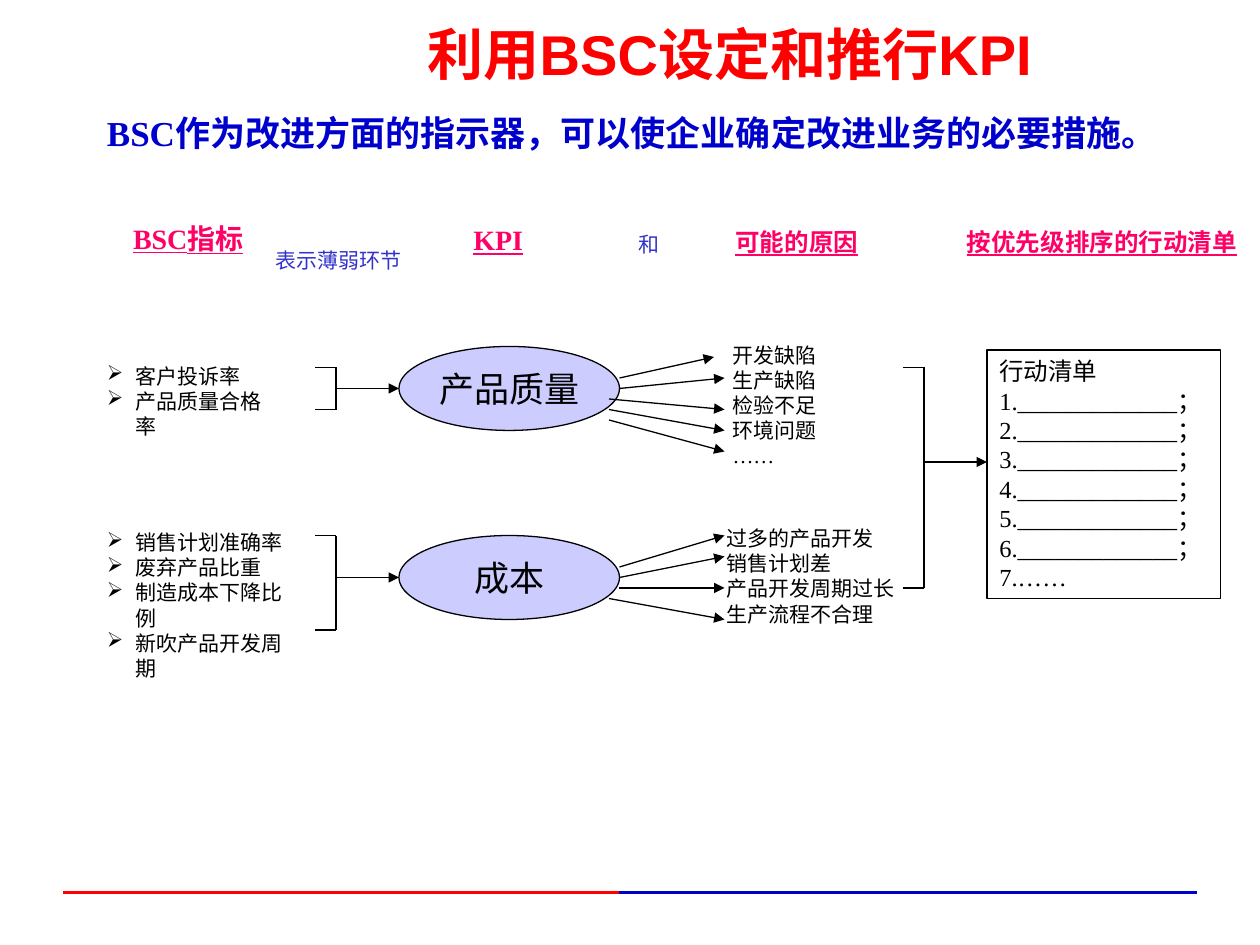
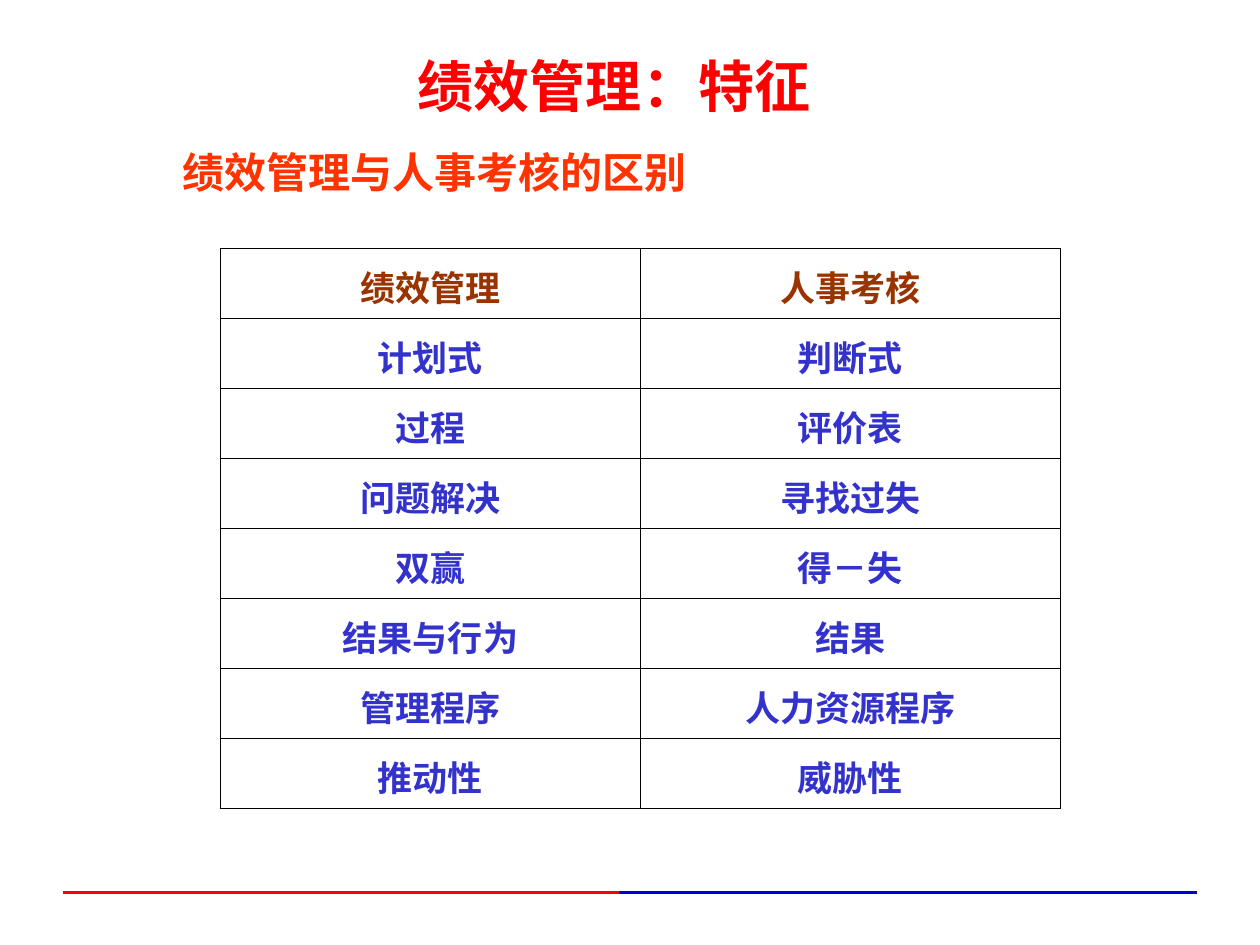
import pptx
import pptx.dml.color
import pptx.enum.shapes
import pptx.enum.text
import pptx.oxml
import pptx.oxml.ns
import pptx.util

Pt = pptx.util.Pt
RGBColor = pptx.dml.color.RGBColor
Align = pptx.enum.text.PP_ALIGN
Anchor = pptx.enum.text.MSO_ANCHOR
Shapes = pptx.enum.shapes.MSO_SHAPE
qn = pptx.oxml.ns.qn

BLACK = RGBColor(0x00, 0x00, 0x00)
RED = RGBColor(0xFF, 0x00, 0x00)
NAVY = RGBColor(0x00, 0x00, 0xCC)
BLUE = RGBColor(0x33, 0x33, 0xCC)
PINK = RGBColor(0xFF, 0x00, 0x66)
ORANGE = RGBColor(0xFF, 0x33, 0x00)
BROWN = RGBColor(0x99, 0x33, 0x00)
LAVENDER = RGBColor(0xCC, 0xCC, 0xFF)

HEADING_FONT = "Arial"
BODY_FONT = "Times New Roman"
LINE_WIDTH = 0.75
OUTER_BORDER, INNER_BORDER = 1.08, 0.45
BULLET_INDENT = 16.5


def add_xml(parent, tag, **attributes):
    element = pptx.oxml.parse_xml(f"<{tag} {pptx.oxml.ns.nsdecls('a')}/>")
    for name, value in attributes.items():
        element.set(name, str(value))
    parent.append(element)
    return element


def add_text_shadow(run):
    properties = run.font._element if hasattr(run.font, "_element") else run._r.get_or_add_rPr()
    effects = add_xml(properties, "a:effectLst")
    properties.find(qn("a:solidFill")).addnext(effects)
    shadow = add_xml(effects, "a:outerShdw", dist=Pt(2), dir=2700000, algn="tl")
    add_xml(shadow, "a:srgbClr", val="C0C0C0")


def write(text_frame, text, size=12, color=BLACK, font=BODY_FONT, bold=False,
          underline=False, align=Align.LEFT, bullet=None, spacing=None,
          shadow=False, wrap=False, anchor=Anchor.TOP):
    """Fill a text frame with one paragraph per line of text."""
    text_frame.auto_size = pptx.enum.text.MSO_AUTO_SIZE.NONE
    text_frame.word_wrap = wrap
    text_frame.vertical_anchor = anchor
    for index, line in enumerate(text.split("\n")):
        paragraph = text_frame.add_paragraph() if index else text_frame.paragraphs[0]
        paragraph.alignment = align
        if spacing:
            paragraph.line_spacing = spacing
        if bullet:
            properties = paragraph._p.get_or_add_pPr()
            properties.set("marL", str(Pt(BULLET_INDENT)))
            properties.set("indent", str(-Pt(BULLET_INDENT)))
            add_xml(properties, "a:buChar", char=bullet)
        run = paragraph.add_run()
        run.text = line
        run.font.size = Pt(size)
        run.font.name = font
        run.font.bold = bold
        run.font.underline = underline
        run.font.color.rgb = color
        if shadow:
            add_text_shadow(run)


class Deck:
    """Holds the shared style and the current slide."""

    def __init__(self):
        self.presentation = pptx.Presentation()
        self.presentation.slide_width = Pt(720)
        self.presentation.slide_height = Pt(540)
        self.slide = None

    def add_slide(self, title, left, top):
        layout = self.presentation.slide_layouts[5]
        self.slide = self.presentation.slides.add_slide(layout)
        # Footer rule in two colours
        self.line(36, 510, 354, 510, color=RED, width=2.25)
        self.line(354, 510, 684, 510, color=NAVY, width=2.25)
        # Title
        shape = self.slide.shapes.title
        shape.left, shape.top, shape.width, shape.height = Pt(left), Pt(top), Pt(498), Pt(53)
        write(shape.text_frame, title, size=32, color=RED, font=HEADING_FONT, bold=True,
              align=Align.CENTER, spacing=1.2, shadow=True, wrap=True)

    def text(self, text, left, top, width, height, **style):
        box = self.slide.shapes.add_textbox(Pt(left), Pt(top), Pt(width), Pt(height))
        write(box.text_frame, text, **style)

    def shape(self, kind, text, left, top, width, height, fill=None, **style):
        shape = self.slide.shapes.add_shape(kind, Pt(left), Pt(top), Pt(width), Pt(height))
        shape.shadow.inherit = False
        if fill is None:
            shape.fill.background()
        else:
            shape.fill.solid()
            shape.fill.fore_color.rgb = fill
        shape.line.color.rgb = BLACK
        shape.line.width = Pt(LINE_WIDTH)
        write(shape.text_frame, text, **style)

    def line(self, x1, y1, x2, y2, color=BLACK, width=LINE_WIDTH, arrow=False):
        connector = self.slide.shapes.add_connector(
            pptx.enum.shapes.MSO_CONNECTOR.STRAIGHT, Pt(x1), Pt(y1), Pt(x2), Pt(y2))
        connector.line.color.rgb = color
        connector.line.width = Pt(width)
        properties = connector._element.spPr
        if arrow:
            add_xml(properties.find(qn("a:ln")), "a:tailEnd", type="triangle")
        add_xml(properties, "a:effectLst")

    def bracket(self, left, right, top, bottom):
        self.line(right, top, right, bottom)
        for y in (top, bottom):
            self.line(left, y, right, y)

    def table(self, rows, left, top, column_width, row_height):
        row_count, column_count = len(rows), len(rows[0])
        table = self.slide.shapes.add_table(
            row_count, column_count, Pt(left), Pt(top),
            Pt(column_width * column_count), Pt(row_height * row_count)).table
        table.first_row = table.horz_banding = False
        for row_index, row in enumerate(rows):
            table.rows[row_index].height = Pt(row_height)
            for column_index, text in enumerate(row):
                cell = table.cell(row_index, column_index)
                cell.margin_top = Pt(7)
                write(cell.text_frame, text, size=20, bold=True, wrap=True,
                      color=BLUE if row_index else BROWN, align=Align.CENTER)
                self.cell_borders(cell, {
                    "a:lnL": column_index == 0,
                    "a:lnR": column_index == column_count - 1,
                    "a:lnT": row_index == 0,
                    "a:lnB": row_index == row_count - 1})
                cell.fill.background()

    def cell_borders(self, cell, sides):
        properties = cell._tc.get_or_add_tcPr()
        for tag, is_outer in sides.items():
            width = OUTER_BORDER if is_outer else INNER_BORDER
            border = add_xml(properties, tag, w=Pt(width))
            add_xml(add_xml(border, "a:solidFill"), "a:srgbClr", val=BLACK)


def build_scorecard_slide(deck):
    deck.add_slide("利用BSC设定和推行KPI", 168, 0)
    deck.text("BSC作为改进方面的指示器，可以使企业确定改进业务的必要措施。",
              54, 60, 636, 36, size=20, color=NAVY, bold=True, wrap=True)

    # Column headings and the words between them
    for text, left, top, width, size in (
            ("BSC指标", 67, 123, 81, 16),
            ("KPI", 263.5, 123.8, 42.5, 16),
            ("可能的原因", 413.3, 126, 84.2, 14),
            ("按优先级排序的行动清单", 545.5, 126, 168.5, 14)):
        deck.text(text, left, top, width, 26, size=size, color=PINK, bold=True,
                  underline=True, align=Align.CENTER)
    for text, left, top, width in (("表示薄弱环节", 150.5, 138.2, 86.4),
                                   ("和", 357.8, 128.5, 26)):
        deck.text(text, left, top, width, 21.6, color=BLUE, align=Align.CENTER)

    # Scorecard measures
    deck.text("客户投诉率\n产品质量合格率", 54, 204, 108, 36, bullet="➢", wrap=True)
    deck.text("销售计划准确率\n废弃产品比重\n制造成本下降比例\n新吹产品开发周期",
              54, 299, 119.5, 79, bullet="➢", wrap=True)

    # KPI ellipses, each fed by a bracket
    for text, top, bracket_top, bracket_bottom in (("产品质量", 198, 210, 234),
                                                   ("成本", 306, 306, 360)):
        deck.shape(Shapes.OVAL, text, 228, top, 126, 48, fill=LAVENDER, size=20,
                   align=Align.CENTER, anchor=Anchor.MIDDLE)
        deck.bracket(180, 192, bracket_top, bracket_bottom)
        deck.line(192, top + 24, 228, top + 24, arrow=True)

    # Possible causes
    deck.text("开发缺陷\n生产缺陷\n检验不足\n环境问题\n……", 411.5, 192, 62.4, 79)
    deck.text("过多的产品开发\n销售计划差\n产品开发周期过长\n生产流程不合理",
              408, 296.8, 110.4, 94)
    for x1, y1, x2, y2 in (
            (354, 216, 408, 204), (354, 222, 414, 216), (348, 228, 414, 234),
            (348, 234, 414, 246), (348, 240, 414, 258),
            (354, 324, 414, 306), (354, 330, 414, 318), (354, 336, 414, 336),
            (348, 342, 414, 354)):
        deck.line(x1, y1, x2, y2, arrow=True)

    # Action list
    blanks = [f"{number}.{'_' * 13}；" for number in range(1, 7)]
    deck.shape(Shapes.RECTANGLE, "\n".join(["行动清单", *blanks, "7.……"]),
               564, 200, 133.4, 142, size=14)
    deck.bracket(516, 528, 210, 336)
    deck.line(528, 264, 564, 264, arrow=True)


def build_comparison_slide(deck):
    deck.add_slide("绩效管理：特征", 102, 18)
    deck.text("绩效管理与人事考核的区别", 97, 80, 302.4, 36, size=24, color=ORANGE, bold=True)
    deck.table([
        ("绩效管理", "人事考核"),
        ("计划式", "判断式"),
        ("过程", "评价表"),
        ("问题解决", "寻找过失"),
        ("双赢", "得－失"),
        ("结果与行为", "结果"),
        ("管理程序", "人力资源程序"),
        ("推动性", "威胁性"),
    ], left=126, top=142, column_width=240, row_height=40)


def main():
    deck = Deck()
    build_scorecard_slide(deck)
    build_comparison_slide(deck)
    deck.presentation.save("out.pptx")


if __name__ == "__main__":
    main()
